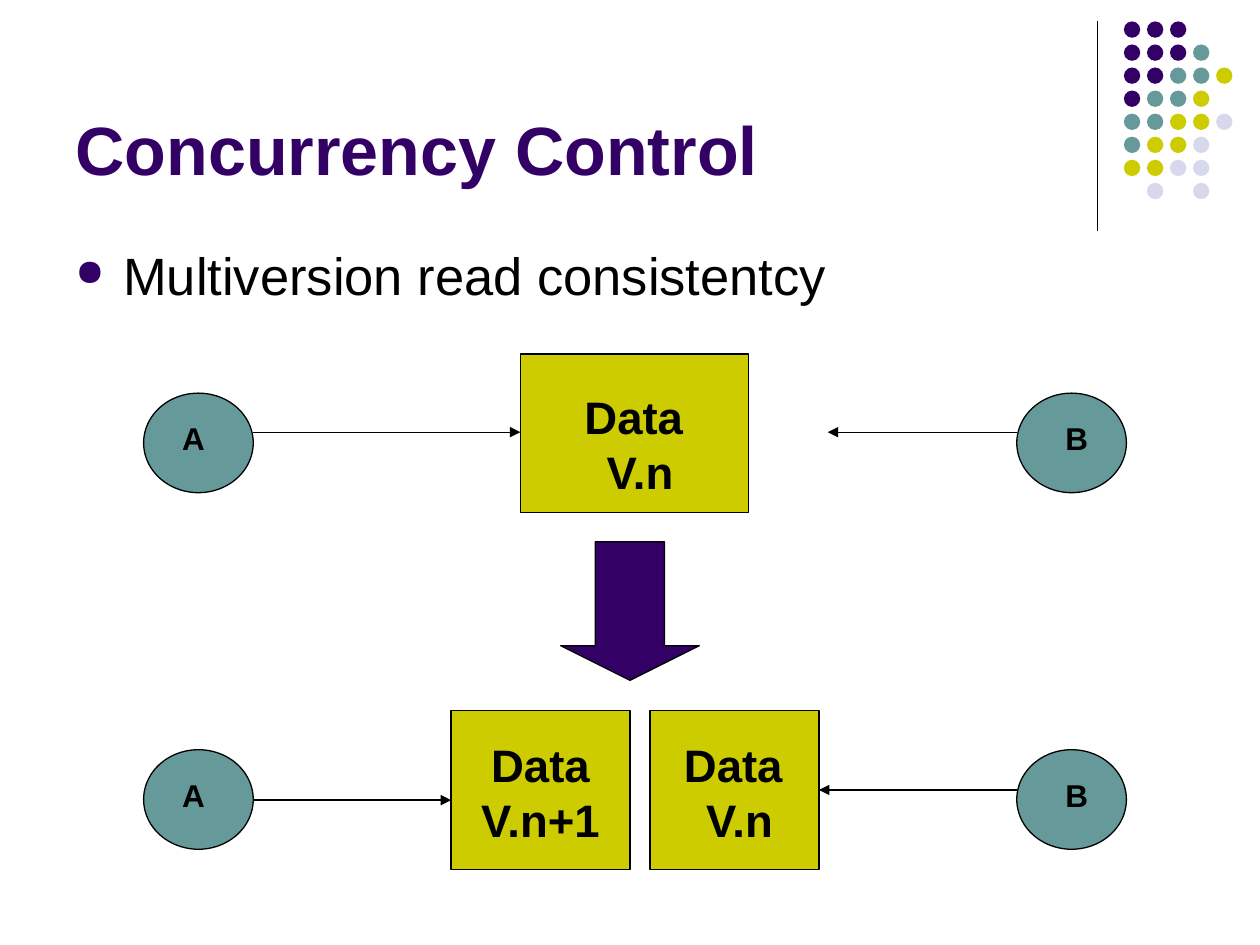
from lxml import etree
from pptx import Presentation
from pptx import util as u
from pptx.dml.color import RGBColor
from pptx.enum import shapes, text
from pptx.oxml import ns

# The grid has 10 columns and 7.5 rows, one inch each.
CELL = u.Inches(1)
COLORS = {"purple": "330066", "teal": "669999", "lime": "CCCC00",
          "pale": "D8D8EC", "black": "000000"}
FONT = "Arial"
DOT_COLORS = {"P": "purple", "T": "teal", "L": "lime", "F": "pale"}
DOT_ROWS = ["PPP", "PPPT", "PPTTL", "PTTL", "TTLLF", "TLLF", "LLFF", " F F"]


def rgb(name):
    return RGBColor.from_string(COLORS[name])


def grid(*lengths):
    return [round(length * CELL) for length in lengths]


def style_text(frame, size, color="black", bold=True, align=None,
               anchor=text.MSO_ANCHOR.TOP):
    frame.word_wrap = True
    frame.vertical_anchor = anchor
    for paragraph in frame.paragraphs:
        paragraph.alignment = align
        font = paragraph.font
        font.name, font.size, font.bold = FONT, u.Pt(size), bold
        font.color.rgb = rgb(color)


def add_label(slide, box, words, size):
    label = slide.shapes.add_textbox(*grid(*box))
    label.text_frame.text = words
    style_text(label.text_frame, size, align=text.PP_ALIGN.CENTER)


def add_figure(slide, kind, box, fill, outlined=True):
    figure = slide.shapes.add_shape(kind, *grid(*box))
    figure.shadow.inherit = False
    figure.fill.solid()
    figure.fill.fore_color.rgb = rgb(fill)
    if outlined:
        figure.line.color.rgb = rgb("black")
        figure.line.width = u.Pt(0.75)
    else:
        figure.line.fill.background()
    return figure


def add_line(slide, start, end, arrow=False):
    line = slide.shapes.add_connector(
        shapes.MSO_CONNECTOR.STRAIGHT, *grid(*start, *end))
    line.line.color.rgb = rgb("black")
    line.line.width = u.Pt(0.75)
    if arrow:
        etree.SubElement(line.line._get_or_add_ln(), ns.qn("a:tailEnd"),
                         type="triangle", w="med", len="med")
    etree.SubElement(line._element.spPr, ns.qn("a:effectLst"))


def add_corner_dots(slide, left, top, pitch=0.183, size=0.13):
    add_line(slide, (left - 0.21, top), (left - 0.21, top + 1.66))
    for row, codes in enumerate(DOT_ROWS):
        for column, code in enumerate(codes):
            if code != " ":
                box = (left + column * pitch, top + row * pitch, size, size)
                add_figure(slide, shapes.MSO_SHAPE.OVAL, box,
                           DOT_COLORS[code], outlined=False)


def add_heading(slide, box):
    title = slide.shapes.title
    title.left, title.top, title.width, title.height = grid(*box)
    title.text_frame.text = "Concurrency Control"
    style_text(title.text_frame, 39, "purple", align=text.PP_ALIGN.LEFT,
               anchor=text.MSO_ANCHOR.BOTTOM)


def add_topic(slide, box):
    topic = slide.shapes.add_textbox(*grid(*box))
    topic.text_frame.text = "Multiversion read consistentcy"
    indent = round(0.38 * CELL)
    properties = topic.text_frame.paragraphs[0]._p.get_or_add_pPr()
    properties.set("marL", str(indent))
    properties.set("indent", str(-indent))
    bullet_color = etree.SubElement(properties, ns.qn("a:buClr"))
    etree.SubElement(bullet_color, ns.qn("a:srgbClr"), val=COLORS["purple"])
    etree.SubElement(properties, ns.qn("a:buSzPct"), val="70000")
    etree.SubElement(properties, ns.qn("a:buChar"), char="●")
    style_text(topic.text_frame, 30, bold=False)


def add_stage(slide, top, versions, label_drop, a_arrow, b_arrow):
    """Draw users A and B around the data versions they reach.

    versions holds (left, width, label left, words); each arrow holds
    its tip's column and its distance below the top of the stage.
    """
    for left, width, label_left, words in versions:
        add_figure(slide, shapes.MSO_SHAPE.RECTANGLE,
                   (left, top, width, 1.26), "lime")
        add_label(slide, (label_left, top + label_drop, 1.58, 0.94), words, 26)
    users = [("A", 1.14, 1.06, 2.01, a_arrow), ("B", 8.07, 8.07, 8.07, b_arrow)]
    for user, left, label_left, arrow_start, (tip, drop) in users:
        add_figure(slide, shapes.MSO_SHAPE.OVAL,
                   (left, top + 0.31, 0.87, 0.79), "teal")
        add_label(slide, (label_left, top + 0.47, 0.95, 0.4), user, 18)
        add_line(slide, (arrow_start, top + drop), (tip, top + drop), arrow=True)


def main():
    deck = Presentation()
    deck.slide_width, deck.slide_height = grid(10, 7.5)
    slide = deck.slides.add_slide(deck.slide_layouts[5])
    add_corner_dots(slide, 8.92, 0.17)
    add_heading(slide, (0.5, 0.13, 8.25, 1.42))
    add_topic(slide, (0.5, 1.88, 9, 0.7))
    add_stage(slide, 2.81, [(4.13, 1.81, 4.29, "Data \vV.n")],
              0.23, a_arrow=(4.13, 0.62), b_arrow=(6.57, 0.62))
    step = add_figure(slide, shapes.MSO_SHAPE.DOWN_ARROW,
                      (4.45, 4.3, 1.1, 1.1), "purple")
    step.adjustments[0], step.adjustments[1] = 0.5, 0.25
    add_stage(slide, 5.64, [(3.58, 1.42, 3.5, "Data V.n+1"),
                            (5.16, 1.34, 5.08, "Data \vV.n")],
              0.16, a_arrow=(3.58, 0.71), b_arrow=(6.5, 0.63))
    deck.save("out.pptx")


if __name__ == "__main__":
    main()
